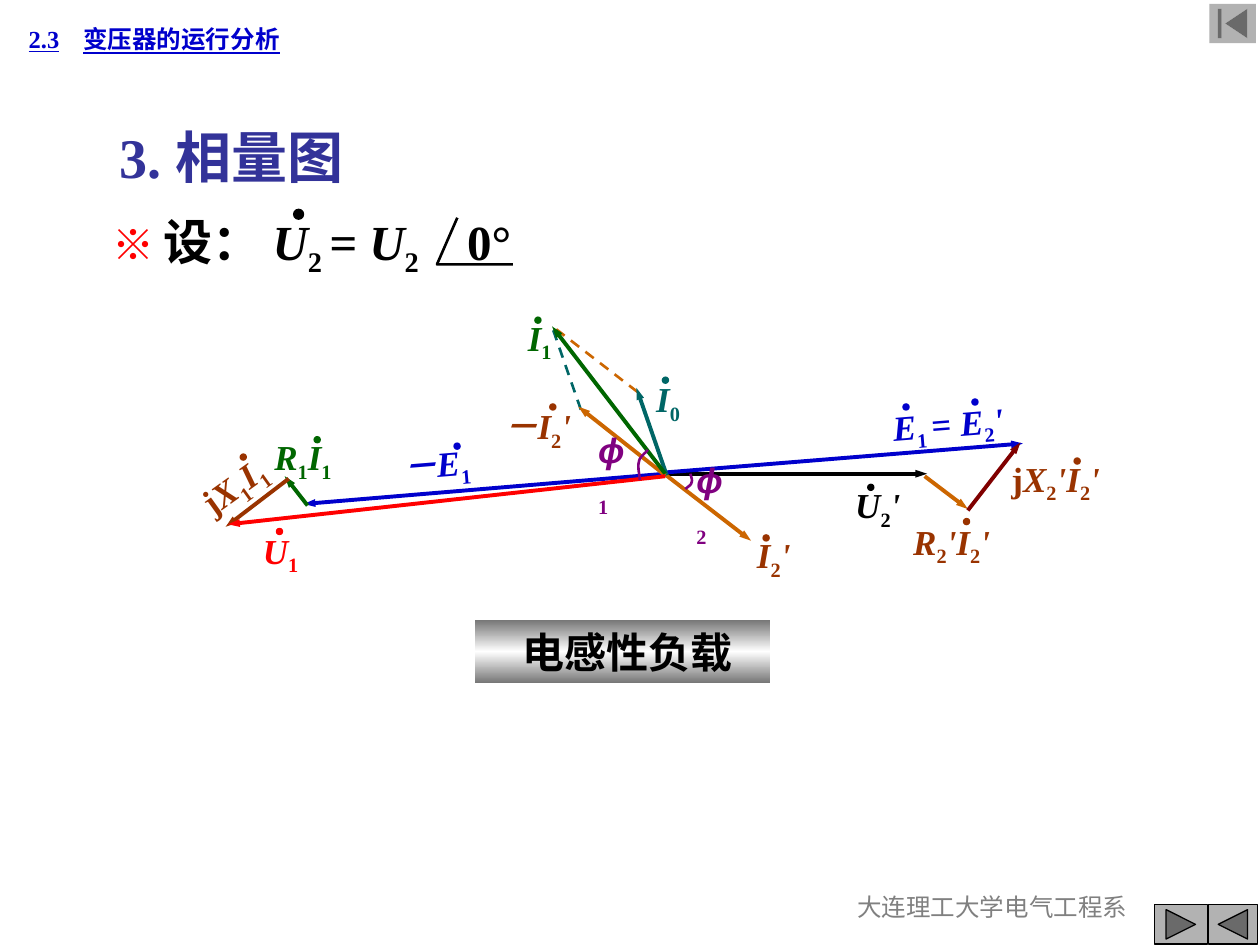
from copy import deepcopy

from lxml import etree
from pptx import Presentation
from pptx.dml.color import RGBColor
from pptx.enum.dml import MSO_LINE
from pptx.enum.shapes import MSO_CONNECTOR, MSO_SHAPE
from pptx.enum.text import MSO_ANCHOR, MSO_AUTO_SIZE, PP_ALIGN
from pptx.oxml.ns import qn
from pptx.util import Cm, Pt

DASH = MSO_LINE.DASH
STRAIGHT = MSO_CONNECTOR.STRAIGHT
OVAL, RECT = MSO_SHAPE.OVAL, MSO_SHAPE.RECTANGLE
NEXT = MSO_SHAPE.ACTION_BUTTON_FORWARD_OR_NEXT
BACK = MSO_SHAPE.ACTION_BUTTON_BACK_OR_PREVIOUS
FIRST = MSO_SHAPE.ACTION_BUTTON_BEGINNING
TOP, MIDDLE = MSO_ANCHOR.TOP, MSO_ANCHOR.MIDDLE
LEFT, CENTER = PP_ALIGN.LEFT, PP_ALIGN.CENTER
GROW = MSO_AUTO_SIZE.SHAPE_TO_FIT_TEXT

BLACK = RGBColor(0x00, 0x00, 0x00)
WHITE = RGBColor(0xFF, 0xFF, 0xFF)
GRAY = RGBColor(0x80, 0x80, 0x80)
STEEL = RGBColor(0x76, 0x76, 0x76)
SILVER = RGBColor(0xB2, 0xB2, 0xB2)
RED = RGBColor(0xFF, 0x00, 0x00)
BLUE = RGBColor(0x00, 0x00, 0xCC)
INDIGO = RGBColor(0x33, 0x33, 0x99)
ORANGE = RGBColor(0xCC, 0x66, 0x00)
BROWN = RGBColor(0x99, 0x33, 0x00)
MAROON = RGBColor(0x80, 0x00, 0x00)
TEAL = RGBColor(0x00, 0x66, 0x66)
GREEN = RGBColor(0x00, 0x66, 0x00)
PURPLE = RGBColor(0x80, 0x00, 0x80)

SERIF, SANS = "Times New Roman", "Arial"
THIN, THICK = 1.5, 2.25
ROW = 1.22  # height of a phasor label
DOT = 0.15

# from, to, colour
PHASORS = [
    ((13.39, 9.55), (18.69, 9.55), BLACK),
    ((13.39, 9.55), (15.14, 10.9), ORANGE),
    ((13.34, 9.53), (20.62, 8.94), BLUE),
    ((18.64, 9.6), (19.51, 10.26), ORANGE),
    ((19.51, 10.29), (20.57, 8.92), MAROON),
    ((13.41, 9.55), (6.12, 10.16), BLUE),
    ((13.44, 9.58), (12.83, 7.82), TEAL),
    ((13.41, 9.58), (11.66, 8.2), ORANGE),
    ((13.41, 9.55), (11.13, 6.58), GREEN),
    ((6.2, 10.19), (5.74, 9.6), GREEN),
    ((5.82, 9.65), (4.55, 10.62), BROWN),
    ((13.41, 9.6), (4.6, 10.57), RED),
]
GUIDES = [
    ((11.71, 8.26), (11.14, 6.62), TEAL),
    ((12.85, 7.9), (11.1, 6.55), ORANGE),
]
# formula, left, top, width, turn, colour, dots
LABELS = [
    ("/U|_2|/'", 16.99, 9.63, 1.5, 0, BLACK, [(17.48, 9.75)]),
    ("/I|_2|/'", 15.01, 10.64, 1.4, 0, BROWN, [(15.37, 10.77)]),
    ("/E|_1 |= |/E|_2|/'", 17.75, 7.98, 2.74, -4.6, BLUE,
     [(18.19, 8.13), (19.58, 8.03)]),
    ("/R|_2|/'I|_2|/'", 18.16, 10.36, 2.2, 0, BROWN, [(19.41, 10.44)]),
    ("j|/X|_2|/'I|_2|/'", 20.14, 9.09, 2.4, 0, BROWN, [(21.64, 9.22)]),
    ("/－E|_1", 7.85, 8.79, 2.06, -4.6, BLUE, [(9.14, 8.92)]),
    ("/I|_0", 12.98, 7.49, 1.1, 0, TEAL, [(13.34, 7.59)]),
    ("/－I|_2|/'", 9.88, 8.03, 2.06, 0, BROWN, [(11.07, 8.13)]),
    ("/I|_1", 10.39, 6.25, 1.1, 0, GREEN, [(10.77, 6.38)]),
    ("/R|_1|/I|_1", 5.28, 8.66, 1.9, 0, GREEN, [(6.32, 8.79)]),
    ("j|/X|_1|/I|_1", 3.78, 9.22, 1.91, -35.6, BROWN, [(4.83, 9.14)]),
    ("/U|_1", 5.05, 10.54, 1.3, 0, RED, [(5.56, 10.64)]),
]
# label and two joined cubic curves
ANGLES = [
    ("/ϕ|_2", 13.79, 9.12,
     [(13.92, 9.55), (13.92, 9.58), (13.97, 9.68), (13.94, 9.73),
      (13.94, 9.78), (13.84, 9.83), (13.82, 9.86)]),
    ("/ϕ|_1", 11.81, 8.51,
     [(13.06, 9.07), (13.03, 9.12), (12.88, 9.22), (12.88, 9.32),
      (12.85, 9.42), (12.9, 9.6), (12.9, 9.68)]),
]


def add_run(para, text, size, color, **form):
    """Add a run; a leading / means italic and a leading _ subscript."""
    mark = text[0] if text[0] in "/_" else ""
    run = para.add_run()
    run.text = text[len(mark):]
    form = {"name": SERIF, "size": Pt(size), "bold": True,
            "italic": mark == "/", **form}
    for key, value in form.items():
        setattr(run.font, key, value)
    run.font.color.rgb = color
    if mark == "_":
        run.font._element.set("baseline", "-25000")


def add_text(slide, left, top, width, height, wrap=True, align=LEFT,
             anchor=TOP, tab=None, grow=True):
    """Add an empty text box and return its shape and paragraph."""
    box = slide.shapes.add_textbox(Cm(left), Cm(top), Cm(width), Cm(height))
    frame = box.text_frame
    form = {"word_wrap": wrap, "vertical_anchor": anchor}
    if grow:
        form["auto_size"] = GROW
    for key, value in form.items():
        setattr(frame, key, value)
    para = frame.paragraphs[0]
    para.alignment = align
    if tab:
        stops = etree.SubElement(para._p.get_or_add_pPr(), qn("a:tabLst"))
        etree.SubElement(stops, qn("a:tab"), pos=str(Cm(tab)), algn="l")
    return box, para


def add_label(slide, formula, left, top, width, color, turn=0, wrap=False):
    box, para = add_text(slide, left, top, width, ROW, wrap=wrap)
    box.rotation = turn
    for part in formula.split("|"):
        add_run(para, part, 20, color, name=SANS if "ϕ" in part else SERIF)


def add_line(slide, start, end, color, width=THICK, dash=None):
    """Draw an arrow, or a plain line when a dash is given."""
    ends = [Cm(value) for value in (*start, *end)]
    link = slide.shapes.add_connector(STRAIGHT, *ends)
    link.line.color.rgb = color
    link.line.width = Pt(width)
    if dash:
        link.line.dash_style = dash
    else:
        etree.SubElement(link.line._get_or_add_ln(), qn("a:tailEnd"),
                         type="triangle", w="sm", len="med")
    etree.SubElement(link._element.spPr, qn("a:effectLst"))


def add_solid(slide, kind, left, top, width, height, fill, line=None):
    shape = slide.shapes.add_shape(kind, Cm(left), Cm(top), Cm(width), Cm(height))
    shape.shadow.inherit = False
    shape.fill.solid()
    shape.fill.fore_color.rgb = fill
    if line is None:
        shape.line.fill.background()
    else:
        shape.line.color.rgb = line
        shape.line.width = Pt(0.75)
    return shape


def add_path(slide, points, color):
    spots = [(Cm(x), Cm(y)) for x, y in points]
    form = slide.shapes.build_freeform(*spots[0])
    form.add_line_segments(spots[1:], close=False)
    shape = form.convert_to_shape()
    shape.shadow.inherit = False
    shape.fill.background()
    shape.line.color.rgb = color
    shape.line.width = Pt(THIN)


def trace(knots, steps=8):
    """Sample joined cubic curves as points."""
    points = [knots[0]]
    for at in range(0, len(knots) - 1, 3):
        curve = knots[at:at + 4]
        for step in range(1, steps + 1):
            t = step / steps
            mix = ((1 - t) ** 3, 3 * t * (1 - t) ** 2, 3 * t * t * (1 - t), t ** 3)
            points.append(tuple(sum(m * p[axis] for m, p in zip(mix, curve))
                                for axis in (0, 1)))
    return points


def add_banner(slide):
    shape = add_solid(slide, RECT, 9.58, 12.5, 5.94, 1.27, STEEL)
    shape.fill.gradient()
    shape.fill.gradient_angle = 90
    for stop in shape.fill.gradient_stops:
        stop.color.rgb = STEEL
    stops = shape._element.spPr.find(".//" + qn("a:gsLst"))
    mid = deepcopy(stops[0])
    mid.set("pos", "50000")
    mid[0].set("val", str(WHITE))
    stops.insert(1, mid)
    para = shape.text_frame.paragraphs[0]
    para.alignment = CENTER
    add_run(para, " 电感性负载", 24, BLACK)


def add_heads(slide):
    _, para = add_text(slide, 15.98, 17.86, 8.05, 1.27, align=CENTER, grow=False)
    add_run(para, "大连理工大学电气工程系", 14, GRAY, bold=False)
    _, para = add_text(slide, 0.33, 0.36, 8.2, 0.86, anchor=MIDDLE, tab=1.1)
    add_run(para, "2.3\t变压器的运行分析", 14, BLUE, underline=True)
    _, para = add_text(slide, 1.88, 2.34, 7.62, 1.63)
    add_run(para, " 3. 相量图", 32, INDIGO)


def add_given(slide):
    _, para = add_text(slide, 2.01, 4.14, 9.3, 1.6, wrap=False, tab=7.16)
    add_run(para, "※ ", 24, RED)
    for part in ("设： ", "/U", "_2 ", "/= U", "_2", "\t0°"):
        add_run(para, part, 28, BLACK)
    add_solid(slide, OVAL, 5.92, 4.22, 0.2, 0.2, BLACK, BLACK)
    add_path(slide, [(9.22, 4.39), (8.81, 5.33), (10.34, 5.33)], BLACK)


def main():
    deck = Presentation()
    deck.slide_width, deck.slide_height = Cm(25.4), Cm(19.05)
    slide = deck.slides.add_slide(deck.slide_layouts[6])
    add_heads(slide)
    add_given(slide)
    add_banner(slide)
    for start, end, color in GUIDES:
        add_line(slide, start, end, color, THIN, DASH)
    for start, end, color in PHASORS:
        add_line(slide, start, end, color)
    for formula, left, top, width, turn, color, dots in LABELS:
        add_label(slide, formula, left, top, width, color, turn)
        for x, y in dots:
            add_solid(slide, OVAL, x, y, DOT, DOT, color)
    for formula, left, top, knots in ANGLES:
        add_path(slide, trace(knots), PURPLE)
        add_label(slide, formula, left, top, 1.14, PURPLE, wrap=True)
    add_solid(slide, NEXT, 23.27, 18.24, 1.07, 0.79, SILVER, BLACK)
    add_solid(slide, BACK, 24.36, 18.24, 0.99, 0.79, SILVER, BLACK)
    add_solid(slide, FIRST, 24.38, 0.08, 0.94, 0.79, SILVER)
    deck.save("out.pptx")


if __name__ == "__main__":
    main()
